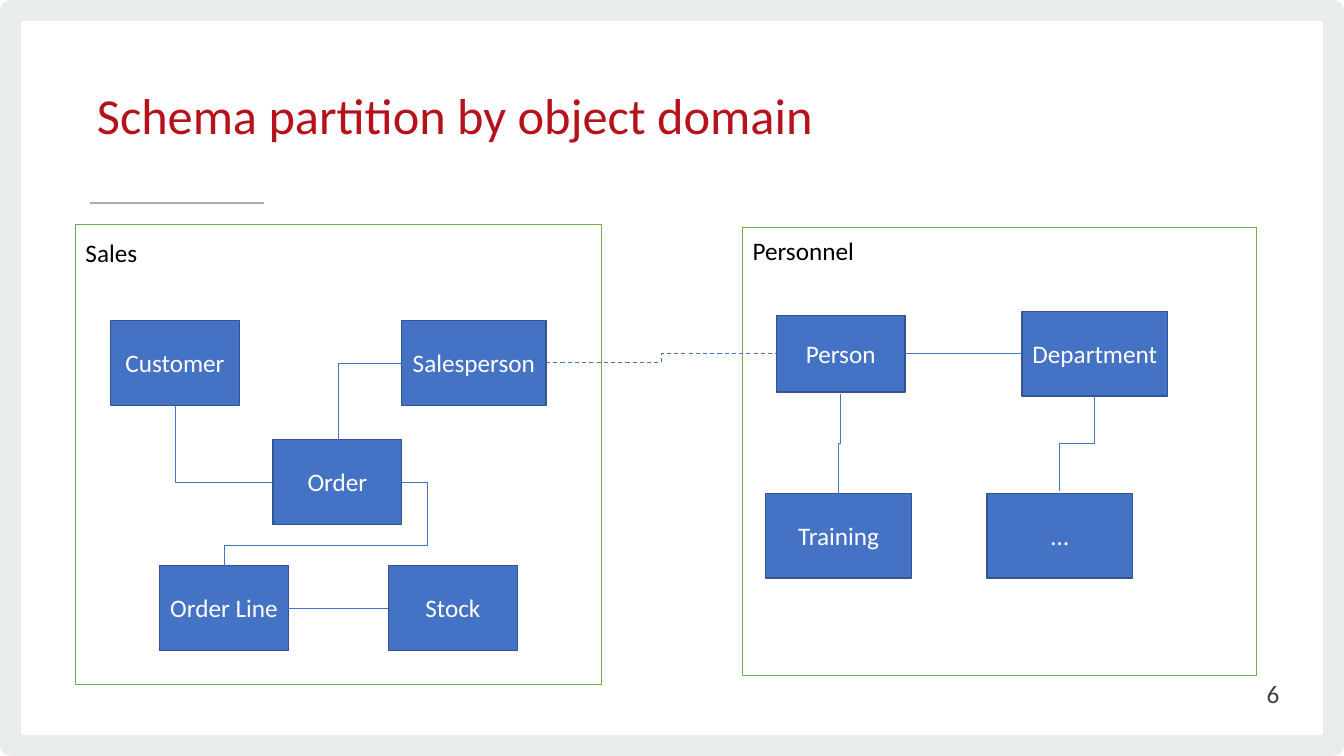
from lxml.etree import SubElement
from pptx import Presentation
from pptx.dml.color import RGBColor
from pptx.enum.dml import MSO_LINE
from pptx.enum.shapes import MSO_CONNECTOR, MSO_SHAPE
from pptx.enum.text import MSO_ANCHOR, PP_ALIGN
from pptx.oxml.ns import qn
from pptx.util import Pt


def rgb(value):
    return RGBColor.from_string(value)


def write(tf, text, size, color, align):
    p = tf.paragraphs[0]
    p.alignment = align
    r = p.add_run()
    r.text = text
    r.font.name = "Calibri"
    r.font.size = Pt(size)
    r.font.color.rgb = rgb(color)
    return p


prs = Presentation()
prs.slide_width, prs.slide_height = Pt(960), Pt(540)
s = prs.slides.add_slide(prs.slide_layouts[5])

title = s.shapes.title
title.left, title.top, title.width, title.height = Pt(62), Pt(37.5), Pt(633), Pt(96.5)
title.text_frame.vertical_anchor = MSO_ANCHOR.MIDDLE
p = write(title.text_frame, "Schema partition by object domain", 36, "B5121B", PP_ALIGN.LEFT)
p.line_spacing = Pt(34.7)
p.space_before = Pt(7.5)

panels = [
    (7.5, 7.5, 945, 525, None, "E9ECED", 15),
    (54, 160.5, 375.5, 328.5, "FFFFFF", "70AD47", 1),
    (530.5, 162.5, 367, 320, "FFFFFF", "70AD47", 1),
]
for x, y, w, h, fill, line, weight in panels:
    sp = s.shapes.add_shape(MSO_SHAPE.RECTANGLE, Pt(x), Pt(y), Pt(w), Pt(h))
    sp.shadow.inherit = False
    if fill:
        sp.fill.solid()
        sp.fill.fore_color.rgb = rgb(fill)
    else:
        sp.fill.background()
    sp.line.color.rgb = rgb(line)
    sp.line.width = Pt(weight)

labels = [
    ("Sales", 54, 165.5, 164, "000000", PP_ALIGN.LEFT),
    ("Personnel", 530.5, 164, 164, "000000", PP_ALIGN.LEFT),
    ("6", 705, 480.5, 216, "414042", PP_ALIGN.RIGHT),
]
for text, x, y, w, color, align in labels:
    tf = s.shapes.add_textbox(Pt(x), Pt(y), Pt(w), Pt(29)).text_frame
    tf.word_wrap = True
    tf.vertical_anchor = MSO_ANCHOR.MIDDLE
    write(tf, text, 18, color, align)

entities = [
    ("Customer", 79, 229, 92, 60.5),
    ("Order", 195, 314, 92, 60.5),
    ("Order Line", 114, 404, 92, 60.5),
    ("Stock", 277.5, 404, 92, 60.5),
    ("Salesperson", 287, 229, 103, 60.5),
    ("Person", 554.5, 225.5, 92, 54.5),
    ("Department", 730, 222.5, 104, 60.5),
    ("Training", 547, 352.5, 104, 60.5),
    ("…", 705, 352.5, 104, 60.5),
]
boxes = {}
for name, x, y, w, h in entities:
    sp = s.shapes.add_shape(MSO_SHAPE.RECTANGLE, Pt(x), Pt(y), Pt(w), Pt(h))
    sp.shadow.inherit = False
    sp.fill.solid()
    sp.fill.fore_color.rgb = rgb("4472C4")
    sp.line.color.rgb = rgb("325491")
    sp.line.width = Pt(1)
    sp.text_frame.word_wrap = False
    sp.text_frame.vertical_anchor = MSO_ANCHOR.MIDDLE
    write(sp.text_frame, name, 18, "FFFFFF", PP_ALIGN.CENTER)
    boxes[name] = sp

lines = []
rule = s.shapes.add_connector(MSO_CONNECTOR.STRAIGHT, Pt(64), Pt(145), Pt(188.5), Pt(145))
lines.append((rule, "A6ADB1", 1.33))

for start, end in [("Order Line", "Stock"), ("Person", "Department")]:
    c = s.shapes.add_connector(MSO_CONNECTOR.STRAIGHT, 0, 0, 0, 0)
    c.begin_connect(boxes[start], 3)
    c.end_connect(boxes[end], 1)
    lines.append((c, "4472C4", 0.5))

elbows = [
    ("bentConnector2", 195, 344.25, 125, 289.5, [], False, 0.5),
    ("bentConnector2", 287, 259.25, 241.5, 314, [], False, 0.5),
    ("bentConnector4", 287, 344.25, 160, 404, [-14200, 75300], False, 0.5),
    ("bentConnector3", 600, 281.5, 599, 352.5, [50000], True, 0.5),
    ("bentConnector3", 782, 283, 757, 350.5, [50000], True, 0.5),
    ("bentConnector3", 390, 259.25, 554.5, 252.75, [50000], False, 0.75),
]
for preset, x1, y1, x2, y2, adjusts, vertical, weight in elbows:
    if vertical:
        cx, cy, dx, dy = (x1 + x2) / 2, (y1 + y2) / 2, (x2 - x1) / 2, (y2 - y1) / 2
        x1, y1, x2, y2 = cx - dy, cy + dx, cx + dy, cy - dx
    c = s.shapes.add_connector(MSO_CONNECTOR.ELBOW, Pt(x1), Pt(y1), Pt(x2), Pt(y2))
    spPr = c._element.spPr
    if vertical:
        spPr.find(qn("a:xfrm")).set("rot", "5400000")
    geom = spPr.find(qn("a:prstGeom"))
    geom.set("prst", preset)
    avLst = geom.find(qn("a:avLst"))
    for i, value in enumerate(adjusts, 1):
        name = f"adj{i}"
        SubElement(avLst, qn("a:gd"), name=name, fmla=f"val {value}")
    lines.append((c, "4472C4", weight))

for c, color, weight in lines:
    c.line.color.rgb = rgb(color)
    c.line.width = Pt(weight)
lines[-1][0].line.dash_style = MSO_LINE.DASH
for c, color, weight in lines:
    SubElement(c._element.spPr, qn("a:effectLst"))

prs.save("out.pptx")
